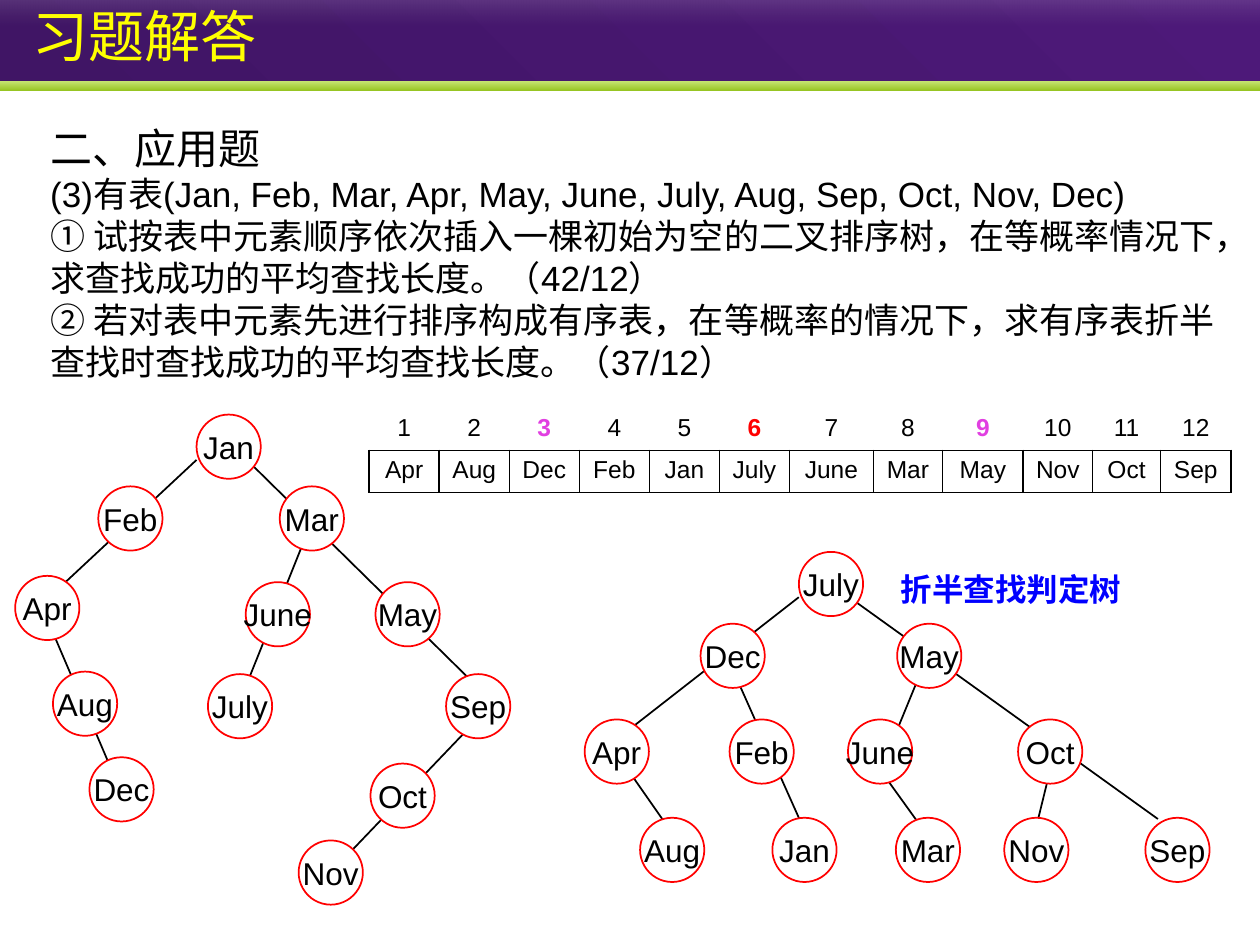
from lxml import etree
from pptx import Presentation
from pptx.dml.color import RGBColor
from pptx.enum.shapes import MSO_CONNECTOR, MSO_SHAPE
from pptx.enum.text import MSO_ANCHOR, MSO_AUTO_SIZE, PP_ALIGN
from pptx.oxml.ns import qn
from pptx.util import Inches, Pt

RECTANGLE = MSO_SHAPE.RECTANGLE
OVAL = MSO_SHAPE.OVAL
STRAIGHT = MSO_CONNECTOR.STRAIGHT
MIDDLE = MSO_ANCHOR.MIDDLE
LEFT, CENTER = PP_ALIGN.LEFT, PP_ALIGN.CENTER
GROW = MSO_AUTO_SIZE.SHAPE_TO_FIT_TEXT

BLACK = RGBColor(0x00, 0x00, 0x00)
WHITE = RGBColor(0xFF, 0xFF, 0xFF)
RED = RGBColor(0xFF, 0x00, 0x00)
BLUE = RGBColor(0x00, 0x00, 0xFF)
YELLOW = RGBColor(0xFF, 0xFF, 0x00)
PINK = RGBColor(0xE1, 0x3F, 0xE1)
DARK_PURPLE = RGBColor(0x40, 0x15, 0x65)
PURPLE = RGBColor(0x4D, 0x19, 0x79)
LIGHT_GREEN = RGBColor(0xC9, 0xE5, 0x76)
GREEN = RGBColor(0x97, 0xC5, 0x23)
GRAY = RGBColor(0xB6, 0xB6, 0xB6)

ARIAL = "Arial"
CJK = "Noto Sans CJK SC"
COLUMNS, ROWS = 100, 75
NODE_SIZE = 5.1
PLAIN_TABLE_STYLE = "{2D5ABB26-0587-4C30-8999-92F81FD0307C}"

QUESTION = [
    "(3)有表(Jan, Feb, Mar, Apr, May, June, July, Aug, Sep, Oct, Nov, Dec)",
    "① 试按表中元素顺序依次插入一棵初始为空的二叉排序树，在等概率情况下，"
    "求查找成功的平均查找长度。（42/12）",
    "② 若对表中元素先进行排序构成有序表，在等概率的情况下，"
    "求有序表折半查找时查找成功的平均查找长度。（37/12）",
]
SORTED_MONTHS = ["Apr", "Aug", "Dec", "Feb", "Jan", "July",
                 "June", "Mar", "May", "Nov", "Oct", "Sep"]
MONTH_WIDTHS = [5.56] * 6 + [6.66, 5.5, 6.4, 5.5, 5.4, 5.6]
INDEX_COLORS = {3: PINK, 6: RED, 9: PINK}

INSERTION_EDGES = [
    (15.6, 36.5, 3.7, 47.6), (19.6, 36.5, 38.9, 55.5),
    (24.5, 42, 19.1, 55.5), (4.2, 50.2, 10.1, 64),
    (37.2, 57.8, 26.3, 69.2),
]
INSERTION_NODES = {
    "Jan": (15.6, 32.9), "Feb": (7.8, 38.6), "Mar": (22.2, 38.6),
    "Apr": (1.2, 45.7), "June": (19.5, 46.2), "May": (29.8, 46.2),
    "Aug": (4.2, 53.3), "July": (16.5, 53.5), "Sep": (35.4, 53.5),
    "Dec": (7.1, 60.1), "Oct": (29.4, 60.6), "Nov": (23.7, 66.7),
}
DECISION_EDGES = [
    (83.4, 60.9, 82.2, 65.8), (70, 61.3, 73.6, 66.3),
    (58.4, 53.7, 63.8, 65.8), (63.4, 47.4, 49.3, 58.4),
    (67.4, 47.4, 91.9, 65), (73.1, 53.3, 70.6, 59.4),
    (49.7, 60.9, 53.4, 66.2),
]
DECISION_LEVELS = [
    (43.8, {"July": 63.4}),
    (49.5, {"Dec": 55.6, "May": 71.2}),
    (57.1, {"Apr": 46.4, "Feb": 57.9, "June": 67.3, "Oct": 80.8}),
    (64.9, {"Aug": 50.8, "Jan": 61.3, "Mar": 71.1, "Nov": 79.7, "Sep": 90.9}),
]


def grid(cells):
    return Inches(cells / 10)


def place(*cells):
    return [grid(value) for value in cells]


def write(para, text, size=18, font=ARIAL, color=BLACK, bold=False, align=LEFT):
    para.alignment = align
    span = para.add_run()
    span.text = text
    span.font.size = Pt(size)
    span.font.name = font
    span.font.bold = bold
    span.font.color.rgb = color
    east_asian = etree.SubElement(span.font._element, qn("a:ea"))
    east_asian.set("typeface", CJK)


def add_band(page, top, height, colors, angle, alphas=()):
    band = page.shapes.add_shape(RECTANGLE, *place(0, top, COLUMNS, height))
    band.shadow.inherit = False
    band.line.fill.background()
    band.fill.gradient()
    band.fill.gradient_angle = angle
    for stop, color in zip(band.fill.gradient_stops, colors):
        stop.color.rgb = color
    swatches = band._element.spPr.iter(qn("a:srgbClr"))
    for swatch, alpha in zip(swatches, alphas):
        etree.SubElement(swatch, qn("a:alpha")).set("val", str(alpha * 1000))


def add_title(page):
    box = page.shapes.add_textbox(*place(0.6, -0.8, 99, 7.1))
    frame = box.text_frame
    frame.word_wrap = True
    frame.vertical_anchor = MIDDLE
    frame.margin_left = grid(2)
    write(frame.paragraphs[0], "习题解答", size=32, font=CJK, color=YELLOW)


def add_question(page):
    frame = page.shapes.add_textbox(*place(3, 9.2, 95, 21.9)).text_frame
    frame.word_wrap = True
    frame.auto_size = GROW
    write(frame.paragraphs[0], "二、应用题", size=24, font=CJK)
    for text in QUESTION:
        write(frame.add_paragraph(), text, size=20)


def add_edge(group, start_column, start_row, end_column, end_row):
    edge = group.shapes.add_connector(
        STRAIGHT, *place(start_column, start_row, end_column, end_row))
    edge.line.color.rgb = BLACK
    edge.line.width = Pt(1)
    etree.SubElement(edge._element.spPr, qn("a:effectLst"))


def add_filled_text(group, shape_kind, bounds, text, **text_format):
    shape = group.shapes.add_shape(shape_kind, *place(*bounds))
    shape.shadow.inherit = False
    shape.fill.solid()
    shape.fill.fore_color.rgb = WHITE
    shape.line.fill.background()
    frame = shape.text_frame
    frame.word_wrap = False
    frame.vertical_anchor = MIDDLE
    frame.margin_left = frame.margin_right = 0
    frame.margin_top = frame.margin_bottom = 0
    write(frame.paragraphs[0], text, align=CENTER, **text_format)
    return shape


def add_tree(page, edges, nodes):
    group = page.shapes.add_group_shape()
    for edge in edges:
        add_edge(group, *edge)
    for month, (column, row) in nodes.items():
        bounds = (column, row, NODE_SIZE, NODE_SIZE)
        node = add_filled_text(group, OVAL, bounds, month)
        node.line.color.rgb = RED
        node.line.width = Pt(1)
    return group


def format_cell(cell, text, sides, **text_format):
    cell.margin_left = cell.margin_right = grid(0.4)
    cell.fill.background()
    properties = cell._tc.get_or_add_tcPr()
    for position, side in enumerate(sides):
        border = etree.Element(qn("a:ln" + side), w=str(Pt(1)))
        fill = etree.SubElement(border, qn("a:solidFill"))
        etree.SubElement(fill, qn("a:srgbClr")).set("val", str(BLACK))
        properties.insert(position, border)
    write(cell.text_frame.paragraphs[0], text, size=14, align=CENTER, **text_format)


def add_month_table(page):
    bounds = place(29.3, 32.4, sum(MONTH_WIDTHS), 6.7)
    table = page.shapes.add_table(2, len(SORTED_MONTHS), *bounds).table
    table.first_row = table.horz_banding = False
    table._tbl.tblPr.find(qn("a:tableStyleId")).text = PLAIN_TABLE_STYLE
    for column, width in zip(table.columns, MONTH_WIDTHS):
        column.width = grid(width)
    for index, month in enumerate(SORTED_MONTHS, start=1):
        format_cell(table.cell(0, index - 1), str(index), "B",
                    color=INDEX_COLORS.get(index, BLACK), bold=index in INDEX_COLORS)
        format_cell(table.cell(1, index - 1), month, "LRTB")


def main():
    deck = Presentation()
    deck.slide_width, deck.slide_height = place(COLUMNS, ROWS)
    page = deck.slides.add_slide(deck.slide_layouts[6])
    add_band(page, 0, 6.4, (DARK_PURPLE, PURPLE), 45)
    add_band(page, 6.4, 0.8, (LIGHT_GREEN, GREEN), 270)
    add_band(page, 0, 2, (WHITE, GRAY), 270, alphas=(13, 0))
    add_title(page)
    add_question(page)
    add_tree(page, INSERTION_EDGES, INSERTION_NODES)
    add_month_table(page)
    decision_nodes = {month: (column, row) for row, level in DECISION_LEVELS
                      for month, column in level.items()}
    decision_tree = add_tree(page, DECISION_EDGES, decision_nodes)
    add_filled_text(decision_tree, RECTANGLE, (70.4, 44.8, 19.7, 3.9),
                    "折半查找判定树", color=BLUE, bold=True)
    deck.save("out.pptx")


if __name__ == "__main__":
    main()
